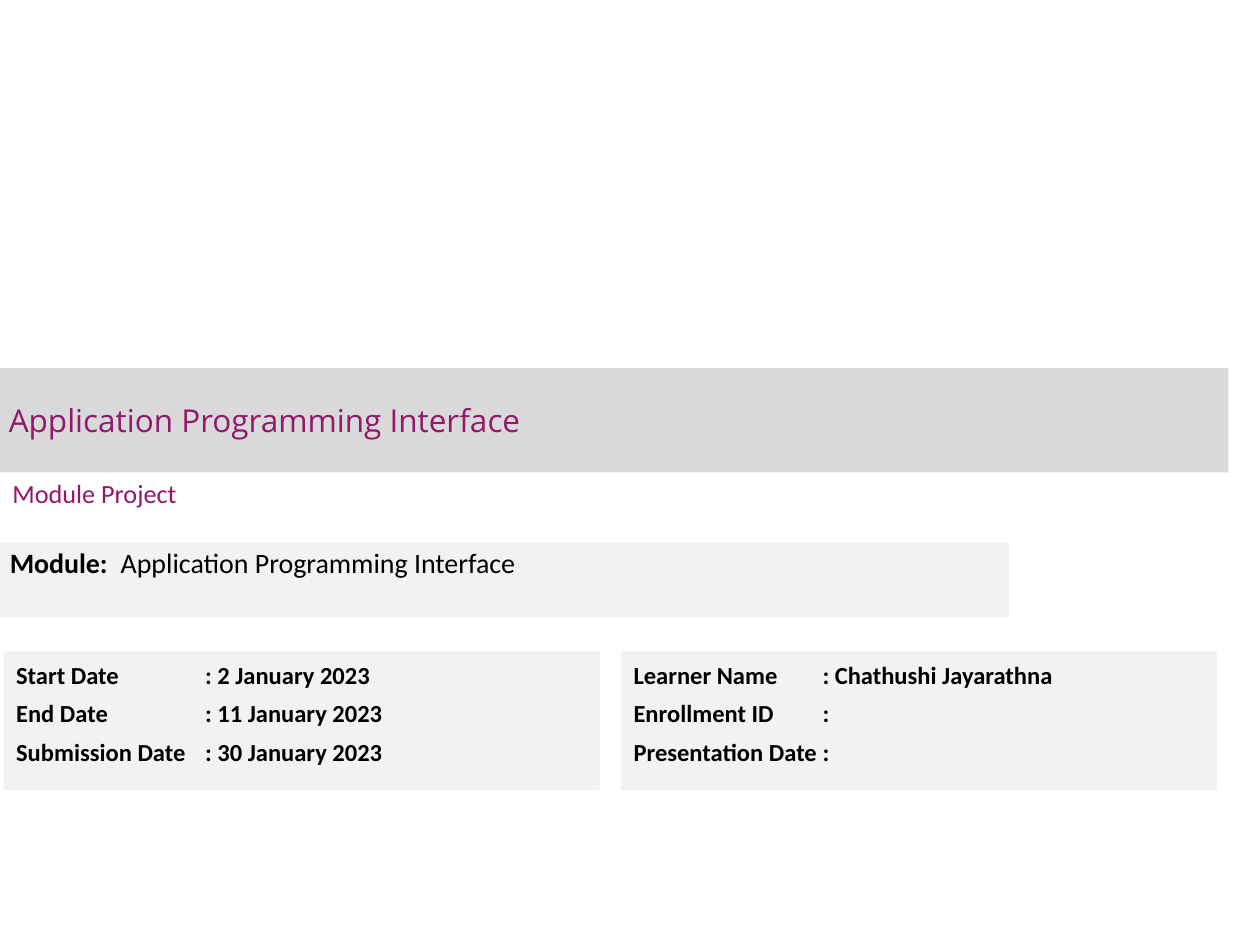
"""Build the cover slide of a module project."""
from lxml.etree import SubElement
from pptx import Presentation
from pptx.dml.color import RGBColor
from pptx.enum.shapes import MSO_SHAPE
from pptx.enum.text import MSO_ANCHOR as ANCHOR, PP_ALIGN as ALIGN
from pptx.oxml.ns import qn
from pptx.util import Inches, Pt

PURPLE = RGBColor(0x93, 0x17, 0x6C)
BLACK = RGBColor(0, 0, 0)
GREY = RGBColor(0xD9, 0xD9, 0xD9)
PALE = RGBColor(0xF2, 0xF2, 0xF2)

MODULE = "Application Programming Interface"
DETAIL_TOP, DETAIL_WIDTH, DETAIL_HEIGHT = 5.17, 4.73, 1.1
DETAILS = {
    0.03: ["Start Date\t: 2 January 2023", "End Date\t: 11 January 2023",
           "Submission Date\t: 30 January 2023"],
    4.93: ["Learner Name\t: Chathushi Jayarathna", "Enrollment ID\t:",
           "Presentation Date\t:"],
}


def add_bar(s, box, fill, **frame):
    sp = s.shapes.add_shape(MSO_SHAPE.RECTANGLE, *map(Inches, box))
    sp.shadow.inherit = False
    sp.fill.solid()
    sp.fill.fore_color.rgb = fill
    sp.line.fill.background()
    tf = sp.text_frame
    for name, value in {"word_wrap": True, "vertical_anchor": ANCHOR.TOP, **frame}.items():
        setattr(tf, name, value)
    return tf


def write(p, runs, size, color, font="Calibri", tab=None, **spacing):
    for name, value in {"alignment": ALIGN.LEFT, **spacing}.items():
        setattr(p, name, value)
    if tab:
        tabs = SubElement(p._p.get_or_add_pPr(), qn("a:tabLst"))
        SubElement(tabs, qn("a:tab"), pos=str(Inches(tab)), algn="l")
    for text, bold in runs:
        r = p.add_run()
        r.text = text
        for name, value in {"name": font, "size": Pt(size), "bold": bold}.items():
            setattr(r.font, name, value)
        r.font.color.rgb = color


prs = Presentation()
prs.slide_width, prs.slide_height = Inches(10), Inches(7.5)
s = prs.slides.add_slide(prs.slide_layouts[6])
spaced = {"line_spacing": Pt(18), "space_before": Pt(2), "space_after": Pt(2)}

tf = add_bar(s, (0, 2.92, 9.75, 0.83), GREY, vertical_anchor=ANCHOR.MIDDLE,
             margin_left=Inches(0.07), margin_right=Inches(0.07),
             margin_top=Inches(0.04), margin_bottom=Inches(0.04))
write(tf.paragraphs[0], [(MODULE, False)], 18, PURPLE, "Open Sans")

tf = s.shapes.add_textbox(Inches(0), Inches(3.6), Inches(6.42), Inches(0.62)).text_frame
tf.word_wrap = True
tf.vertical_anchor = ANCHOR.MIDDLE
write(tf.paragraphs[0], [("Module Project", False)], 15, PURPLE)

tf = add_bar(s, (-0.02, 4.3, 8.03, 0.6), PALE)
write(tf.paragraphs[0], [("Module:\t", True), (MODULE, False)], 16, BLACK, tab=0.88, **spaced)

for left, lines in DETAILS.items():
    tf = add_bar(s, (left, DETAIL_TOP, DETAIL_WIDTH, DETAIL_HEIGHT), PALE)
    for i, line in enumerate(lines):
        p = tf.add_paragraph() if i else tf.paragraphs[0]
        write(p, [(line, True)], 14, BLACK, tab=1.5, **spaced)

prs.save("out.pptx")
